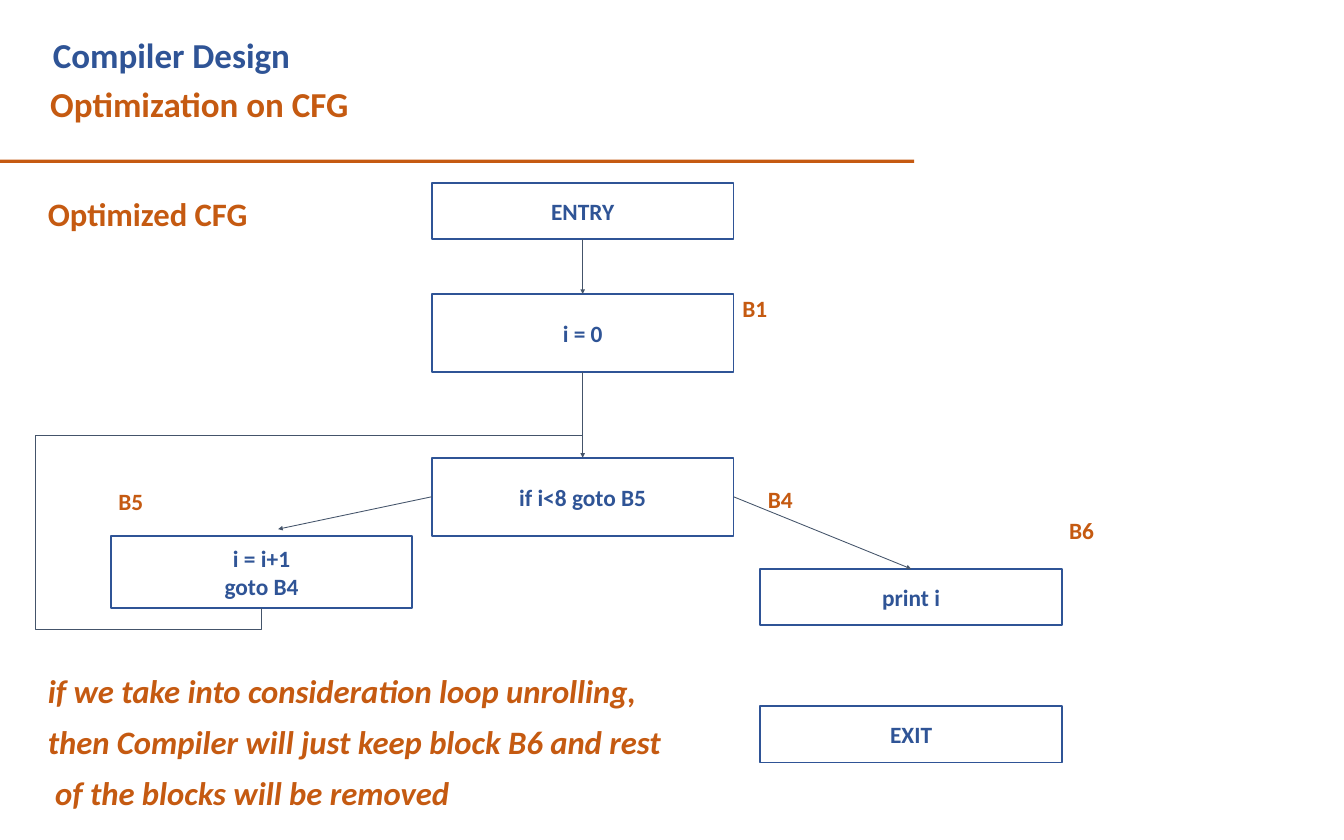
from lxml import etree
from pptx import Presentation
from pptx.dml.color import RGBColor
from pptx.enum.shapes import MSO_CONNECTOR, MSO_SHAPE
from pptx.enum.text import MSO_ANCHOR, PP_ALIGN
from pptx.oxml.ns import qn
from pptx.util import Cm, Pt

BLUE = RGBColor(0x2F, 0x54, 0x96)
ORANGE = RGBColor(0xC5, 0x5A, 0x11)
SLATE = RGBColor(0x44, 0x54, 0x6A)
WHITE = RGBColor(0xFF, 0xFF, 0xFF)
RECTANGLE = MSO_SHAPE.RECTANGLE
STRAIGHT = MSO_CONNECTOR.STRAIGHT
TOP, LEFT, BOTTOM, RIGHT = range(4)
BLOCK_WIDTH = 9.12


def write_lines(shape, lines, size, spacing=1.0, align=PP_ALIGN.LEFT, italic=False):
    """Fill a shape with one paragraph per (text, colour, indent in cm)."""
    frame = shape.text_frame
    frame.margin_left = frame.margin_top = frame.margin_right = frame.margin_bottom = 0
    frame.word_wrap = False
    for index, (text, color, indent) in enumerate(lines):
        para = frame.paragraphs[0] if index == 0 else frame.add_paragraph()
        para.alignment = align
        para.line_spacing = spacing
        if indent:
            para._p.get_or_add_pPr().set("marL", str(Cm(indent)))
        span = para.add_run()
        span.text = text
        span.font.name = "Calibri"
        span.font.size = Pt(size)
        span.font.bold = True
        span.font.italic = italic
        span.font.color.rgb = color


deck = Presentation()
deck.slide_width, deck.slide_height = Cm(40.64), Cm(25.4)
page = deck.slides.add_slide(deck.slide_layouts[6])
page.background.fill.solid()
page.background.fill.fore_color.rgb = WHITE

# Headings and closing remark
title = page.shapes.add_textbox(Cm(1.52), Cm(0.81), Cm(9.1), Cm(3))
write_lines(title, [("Compiler Design", BLUE, 0.08),
                    ("Optimization on CFG", ORANGE, 0)], 30, 1.17)
rule = page.shapes.add_shape(RECTANGLE, 0, Cm(4.83), Cm(27.64), Cm(0.1))
rule.shadow.inherit = False
rule.fill.solid()
rule.fill.fore_color.rgb = ORANGE
rule.line.fill.background()
subtitle = page.shapes.add_textbox(Cm(1.45), Cm(5.87), Cm(6.1), Cm(1.2))
write_lines(subtitle, [("Optimized CFG", ORANGE, 0)], 28)
remark = page.shapes.add_textbox(Cm(1.45), Cm(19.94), Cm(18.6), Cm(4.7))
write_lines(remark, [("if we take into consideration loop unrolling,", ORANGE, 0),
                     ("then Compiler will just keep block B6 and rest", ORANGE, 0),
                     ("of the blocks will be removed", ORANGE, 0.22)],
            28, 1.3, italic=True)

# Basic blocks: name, left, top, height, text lines
BLOCKS = [
    ("entry", 13.06, 5.54, 1.7, ["ENTRY"]),
    ("B1", 13.06, 8.89, 2.36, ["i = 0"]),
    ("B4", 13.06, 13.84, 2.36, ["if i<8 goto B5"]),
    ("B5", 3.35, 16.21, 2.18, ["i = i+1", "goto B4"]),
    ("B6", 22.99, 17.2, 1.7, ["print i"]),
    ("exit", 22.99, 21.36, 1.7, ["EXIT"]),
]
blocks = {}
for name, left, top, height, lines in BLOCKS:
    box = page.shapes.add_shape(RECTANGLE, Cm(left), Cm(top), Cm(BLOCK_WIDTH), Cm(height))
    box.shadow.inherit = False
    box.fill.background()
    box.line.color.rgb = BLUE
    box.line.width = Pt(1.5)
    box.text_frame.vertical_anchor = MSO_ANCHOR.MIDDLE
    write_lines(box, [(line, BLUE, 0) for line in lines], 20, align=PP_ALIGN.CENTER)
    blocks[name] = box

for name, left, top in [("B1", 22.45, 8.89), ("B4", 23.22, 14.66),
                        ("B5", 3.58, 14.73), ("B6", 32.33, 15.62)]:
    label = page.shapes.add_textbox(Cm(left), Cm(top), Cm(0.85), Cm(0.9))
    write_lines(label, [(name, ORANGE, 0)], 20)

# Control flow; the arrow to B5 stops just above its block
for source, source_side, target, target_side in [
        ("entry", BOTTOM, "B1", TOP), ("B1", BOTTOM, "B4", TOP),
        ("B4", LEFT, None, None), ("B4", RIGHT, "B6", TOP)]:
    arrow = page.shapes.add_connector(STRAIGHT, Cm(13.06), Cm(15.02), Cm(8.41), Cm(16))
    arrow.begin_connect(blocks[source], source_side)
    if target:
        arrow.end_connect(blocks[target], target_side)
    arrow.line.color.rgb = SLATE
    arrow.line.width = Pt(0.75)
    etree.SubElement(arrow.line._get_or_add_ln(), qn("a:tailEnd"),
                     type="triangle", w="sm", len="sm")
    etree.SubElement(arrow._element.spPr, qn("a:effectLst"))

# Loop back from B5 to the edge entering B4
route = [(Cm(x), Cm(y)) for x, y in
         [(7.91, 18.39), (7.91, 19.03), (1.07, 19.03), (1.07, 13.18), (17.62, 13.18)]]
builder = page.shapes.build_freeform(*route[0], scale=1.0)
builder.add_line_segments(route[1:], close=False)
loop_back = builder.convert_to_shape()
loop_back.shadow.inherit = False
loop_back.fill.background()
loop_back.line.color.rgb = SLATE
loop_back.line.width = Pt(0.75)

deck.save("out.pptx")
